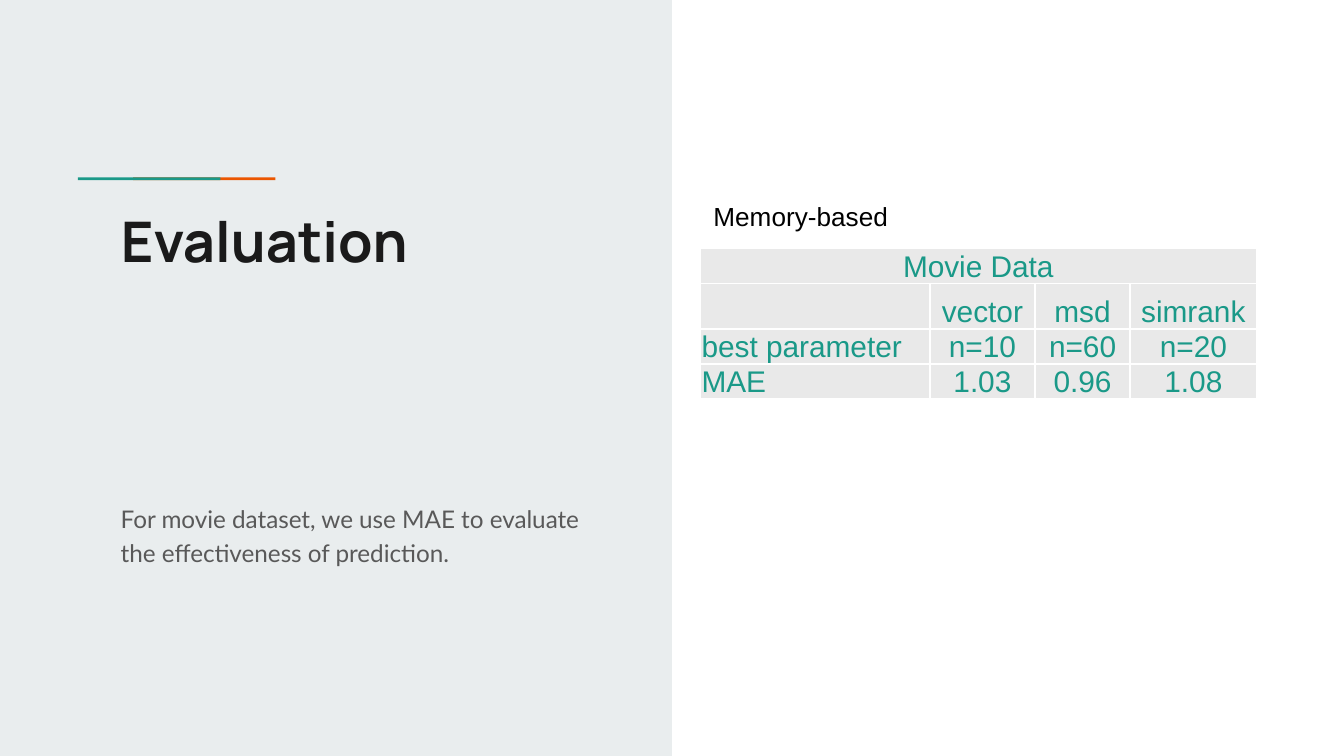
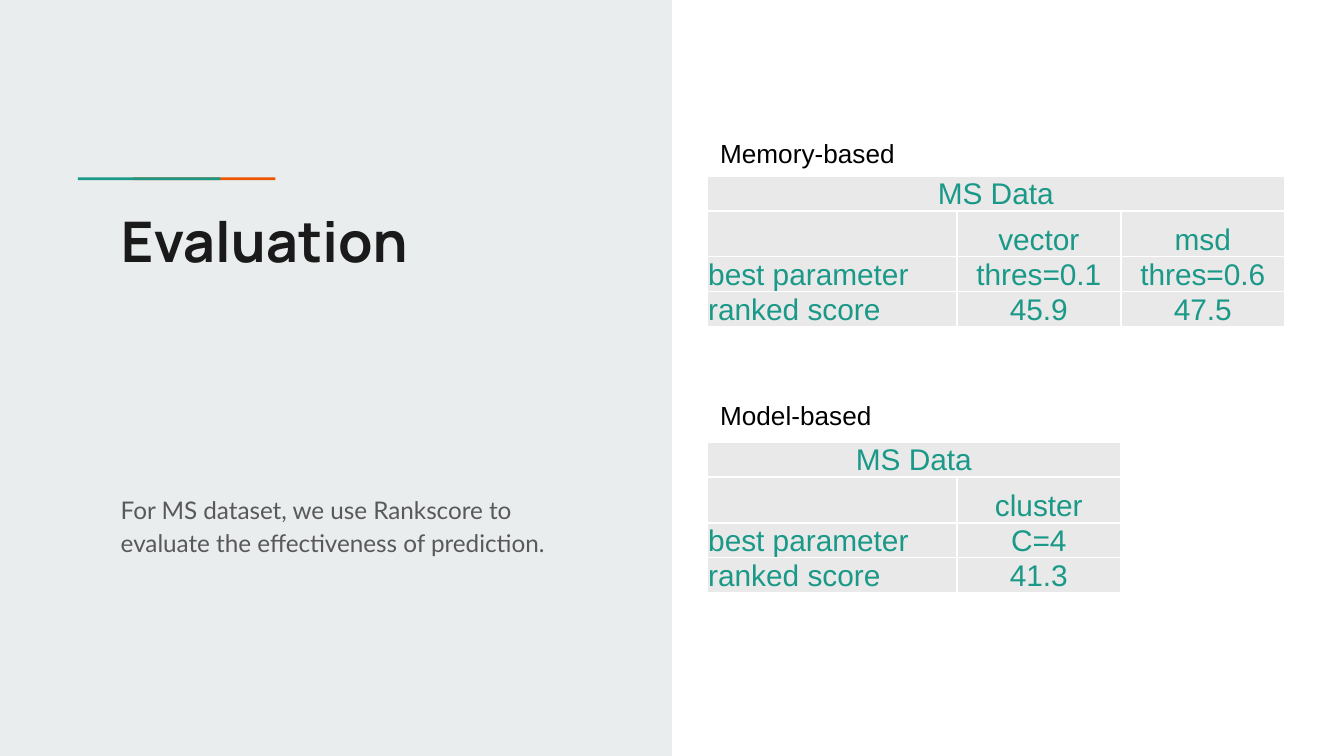
from lxml import etree
from pptx import Presentation
from pptx import util as u
from pptx.dml.color import RGBColor
from pptx.enum import shapes, text
from pptx.oxml.ns import qn

PANEL = RGBColor(0xE9, 0xED, 0xEE)
TEAL = RGBColor(0x1A, 0x99, 0x88)
ORANGE = RGBColor(0xEB, 0x56, 0x00)
INK = RGBColor(0x1A, 0x1A, 0x1A)
GREY = RGBColor(0x59, 0x59, 0x59)
BLACK = RGBColor(0, 0, 0)
CELL = RGBColor(0xE9, 0xE9, 0xE9)
WHITE = RGBColor(0xFF, 0xFF, 0xFF)
WIDE = 10
HIGH = WIDE * 9 / 16
ROWS = (0.26, 0.34, 0.26, 0.26)


def box(left, top, wide, high):
    """Turn a box in inches into lengths."""
    return [u.Inches(n) for n in (left, top, wide, high)]


def style(para, face, size, color, bold=False):
    """Set the font of a paragraph."""
    font = para.font
    font.name, font.size, font.bold = face, u.Pt(size), bold
    font.color.rgb = color


def write(shape, words, pad):
    """Fill a text shape from the top left and return its paragraph."""
    frame = shape.text_frame
    frame.word_wrap = True
    frame.auto_size = text.MSO_AUTO_SIZE.NONE
    frame.vertical_anchor = text.MSO_ANCHOR.TOP
    frame.margin_left = frame.margin_right = u.Inches(0.1)
    frame.margin_top = frame.margin_bottom = u.Inches(pad)
    frame.text = words
    para = frame.paragraphs[0]
    para.alignment = text.PP_ALIGN.LEFT
    return para


def bar(slide, color, *area):
    """Draw a plain filled rectangle."""
    shape = slide.shapes.add_shape(shapes.MSO_SHAPE.RECTANGLE, *box(*area))
    shape.shadow.inherit = False
    shape.fill.solid()
    shape.fill.fore_color.rgb = color
    shape.line.fill.background()


def panel(slide, title, note, top):
    """Build the left half with its accent line, title and note."""
    bar(slide, PANEL, 0, 0, WIDE / 2, HIGH)
    bar(slide, ORANGE, 0.99, 1.32, 1.06, 0.02)
    bar(slide, TEAL, 0.58, 1.32, 1.06, 0.02)
    head = slide.shapes.title
    slide.shapes._spTree.append(head._element)
    head.left, head.top, head.width, head.height = box(0.8, 1.44, 3.61, 1.85)
    style(write(head, title, 0.1), "Manrope", 30, INK, True)
    body = slide.shapes.add_textbox(*box(0.8, top, 3.61, 0.83))
    para = write(body, note, 0.1)
    para.line_spacing = 1.15
    para.space_after = u.Pt(10)
    style(para, "Lato", 13, GREY)


def edge(cell):
    """Give a cell thin white borders."""
    props = cell._tc.get_or_add_tcPr()
    for spot, side in enumerate(("a:lnL", "a:lnR", "a:lnT", "a:lnB")):
        line = etree.Element(qn(side), w=str(u.Pt(1)))
        fill = etree.SubElement(line, qn("a:solidFill"))
        etree.SubElement(fill, qn("a:srgbClr"), val=str(WHITE))
        props.insert(spot, line)


def fill_cell(cell, words, align):
    """Write and format one table cell."""
    cell.fill.solid()
    cell.fill.fore_color.rgb = CELL
    cell.vertical_anchor = text.MSO_ANCHOR.BOTTOM
    cell.margin_left = cell.margin_right = cell.margin_top = u.Inches(0.01)
    cell.margin_bottom = 0
    cell.text = words
    para = cell.text_frame.paragraphs[0]
    para.alignment = align
    style(para, "Arial", 16, TEAL)
    edge(cell)


def score(slide, left, top, gap, label, cols, title, rows):
    """Place a label and, a gap below its top, a table of scores."""
    data = [[title] + [""] * (len(cols) - 1)] + rows
    area = box(left, top + gap, sum(cols), sum(ROWS))
    grid = slide.shapes.add_table(len(data), len(cols), *area).table
    grid.first_row = grid.horz_banding = False
    for col, wide in zip(grid.columns, cols):
        col.width = u.Inches(wide)
    for row, high in zip(grid.rows, ROWS):
        row.height = u.Inches(high)
    for r, row in enumerate(data):
        for c, words in enumerate(row):
            left_side = r > 0 and c == 0
            align = text.PP_ALIGN.LEFT if left_side else text.PP_ALIGN.CENTER
            fill_cell(grid.cell(r, c), words, align)
    grid.cell(0, 0).merge(grid.cell(0, len(cols) - 1))
    tag = slide.shapes.add_textbox(*box(left, top, 2.1, 0.34))
    style(write(tag, label, 0.05), "Arial", 14, BLACK)


def page(deck, note, top):
    """Add an evaluation slide with its left half."""
    slide = deck.slides.add_slide(deck.slide_layouts[5])
    panel(slide, "Evaluation", note, top)
    return slide


def main():
    """Build the deck and save it."""
    deck = Presentation()
    deck.slide_width, deck.slide_height = u.Inches(WIDE), u.Inches(HIGH)

    movie = page(deck, "For movie dataset, we use MAE to evaluate the "
                 "effectiveness of prediction.", 3.62)
    score(movie, 5.21, 1.44, 0.41, "Memory-based",
          (1.71, 0.78, 0.71, 0.94), "Movie Data", [
              ["", "vector", "msd", "simrank"],
              ["best parameter", "n=10", "n=60", "n=20"],
              ["MAE", "1.03", "0.96", "1.08"]])

    ranked = page(deck, "For MS dataset, we use Rankscore to evaluate the "
                  "effectiveness of prediction.", 3.55)
    score(ranked, 5.26, 0.97, 0.34, "Memory-based",
          (1.86, 1.22, 1.22), "MS Data", [
              ["", "vector", "msd"],
              ["best parameter", "thres=0.1", "thres=0.6"],
              ["ranked score", "45.9", "47.5"]])
    score(ranked, 5.26, 2.92, 0.37, "Model-based",
          (1.86, 1.22), "MS Data", [
              ["", "cluster"],
              ["best parameter", "C=4"],
              ["ranked score", "41.3"]])
    deck.save("out.pptx")


if __name__ == "__main__":
    main()
